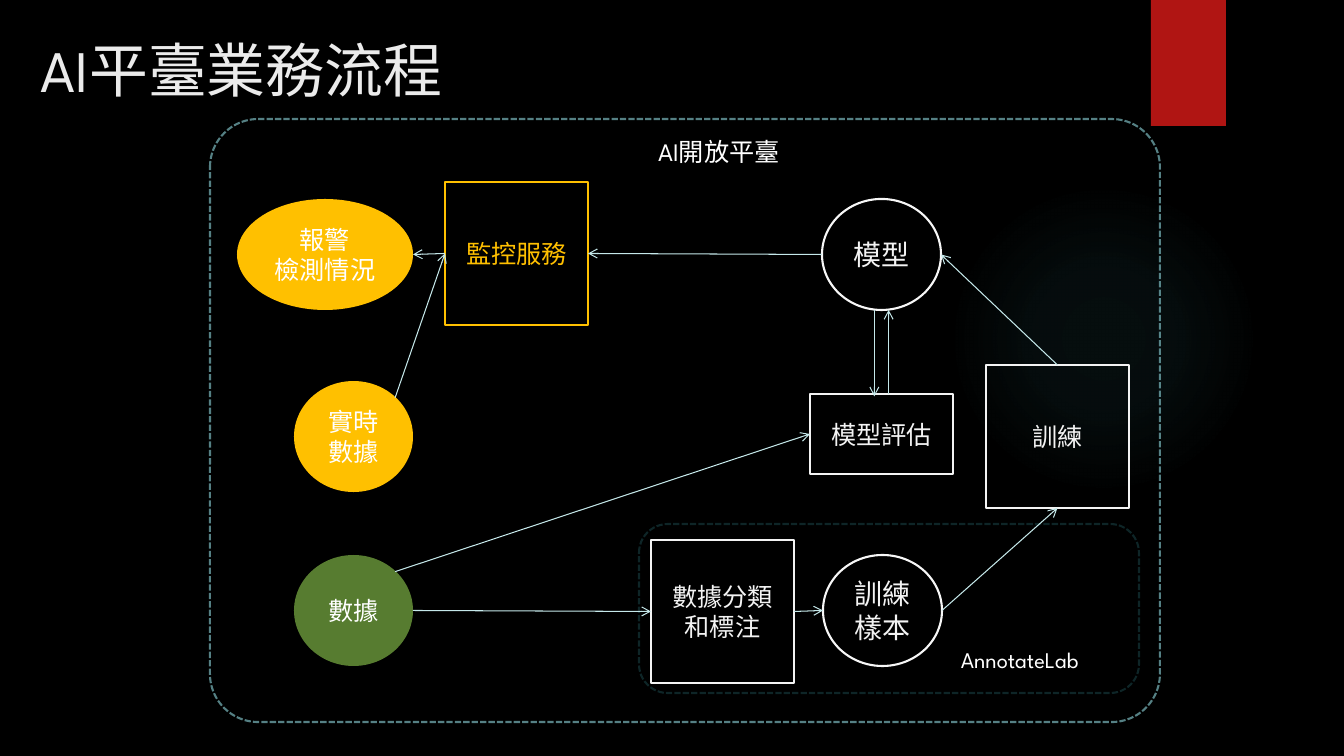
from lxml import etree
from pptx import Presentation
from pptx.dml.color import RGBColor
from pptx.enum.dml import MSO_LINE
from pptx.enum.shapes import MSO_CONNECTOR, MSO_SHAPE
from pptx.enum.text import MSO_ANCHOR, PP_ALIGN
from pptx.oxml import parse_xml
from pptx.oxml.ns import nsdecls, qn
from pptx.util import Emu, Pt

RECT, ROUNDED = MSO_SHAPE.RECTANGLE, MSO_SHAPE.ROUNDED_RECTANGLE
OVAL, NODE = MSO_SHAPE.OVAL, MSO_SHAPE.FLOWCHART_CONNECTOR
STRAIGHT, DASH = MSO_CONNECTOR.STRAIGHT, MSO_LINE.SQUARE_DOT
LEFT, CENTER = PP_ALIGN.LEFT, PP_ALIGN.CENTER
TOP, MIDDLE, BOTTOM = MSO_ANCHOR.TOP, MSO_ANCHOR.MIDDLE, MSO_ANCHOR.BOTTOM

FONT = "League Spartan"
COLORS = {
    "background": "000000", "glow": "50B9C1", "ribbon": "B01513",
    "amber": "FFC000", "green": "92D050", "outline": "F3F3F3",
    "circle": "F7F7F7", "platform": "8AD0D6", "labeling": "173D40",
    "arrow": "C5E8EA", "title": "EBEBEB", "white": "FFFFFF",
}
EMU_PER_PIXEL = 914400 / 100.8

# Name: kind, left, top, width, height, text, size, text colour, fill, line
NODES = {
    "alarm": (NODE, 27, 80, 176, 111, "報警\n檢測情況", 18, "white", "amber", None),
    "live data": (NODE, 84, 262, 119, 111, "實時數據", 18, "white", "amber", None),
    "data": (NODE, 84, 436, 119, 111, "數據", 18, "white", "green", None),
    "model": (NODE, 612, 80, 119, 111, "模型", 20, "outline", None, "circle"),
    "evaluation": (RECT, 600, 275, 143, 80, "模型評估", 18, "outline", None, "outline"),
    "training": (RECT, 776, 246, 143, 143, "訓練", 18, "outline", None, "outline"),
    "samples": (NODE, 613, 436, 119, 111, "訓練樣本", 20, "outline", None, "circle"),
    "labeling": (RECT, 441, 421, 143, 143, "數據分類和標注", 18, "outline", None, "outline"),
    "monitoring": (RECT, 235, 63, 143, 143, "監控服務", 18, "amber", None, "amber"),
}

# Anchor points as fractions of a node's width and height
WEST, EAST, NORTH, SOUTH = (0, 0.5), (1, 0.5), (0.5, 0), (0.5, 1)
NORTHEAST = (0.85, 0.15)
ARROWS = [
    ("data", EAST, "labeling", WEST),
    ("labeling", EAST, "samples", WEST),
    ("samples", EAST, "training", SOUTH),
    ("training", NORTH, "model", EAST),
    ("model", (0.44, 1), "evaluation", (0.45, 0.03)),
    ("evaluation", (0.55, 0), "model", (0.56, 1)),
    ("model", WEST, "monitoring", EAST),
    ("monitoring", WEST, "alarm", EAST),
    ("live data", NORTHEAST, "monitoring", WEST),
    ("data", NORTHEAST, "evaluation", WEST),
]


def px(pixels):
    return Emu(round(pixels * EMU_PER_PIXEL))


def rgb(name):
    return RGBColor.from_string(COLORS[name])


def set_opacity(fill_parent, percent):
    color = fill_parent.find(qn("a:solidFill"))[0]
    etree.SubElement(color, qn("a:alpha"), val=str(percent * 1000))


def write(shape, text, size=18, color="white", align=CENTER, anchor=MIDDLE):
    frame = shape.text_frame
    frame.word_wrap = True
    frame.vertical_anchor = anchor
    frame.text = text
    for paragraph in frame.paragraphs:
        paragraph.alignment = align
        font = paragraph.runs[0].font
        font.name, font.size, font.color.rgb = FONT, Pt(size), rgb(color)


def add_label(slide, box, text, **text_format):
    write(slide.shapes.add_textbox(*map(px, box)), text, **text_format)


def add_box(slide, kind, box, fill=None, line=None):
    shape = slide.shapes.add_shape(kind, *map(px, box))
    shape.shadow.inherit = False
    if fill:
        shape.fill.solid()
        shape.fill.fore_color.rgb = rgb(fill)
    else:
        shape.fill.background()
    if line:
        shape.line.color.rgb = rgb(line)
        shape.line.width = Pt(1.5)
    else:
        shape.line.fill.background()
    return shape


def add_dashed_frame(slide, box, line, radius):
    frame = add_box(slide, ROUNDED, box, line=line)
    frame.adjustments[0] = radius
    frame.line.dash_style = DASH
    set_opacity(frame.line._get_or_add_ln(), 61)


def add_arrow(slide, start, end):
    arrow = slide.shapes.add_connector(STRAIGHT, *map(px, start + end))
    arrow.line.color.rgb = rgb("arrow")
    arrow.line.width = Pt(0.75)
    etree.SubElement(arrow.line._get_or_add_ln(), qn("a:tailEnd"), type="arrow")
    etree.SubElement(arrow._element.spPr, qn("a:effectLst"))


def anchor_point(name, fraction, left, top):
    x, y, width, height = NODES[name][1:5]
    return left + x + fraction[0] * width, top + y + fraction[1] * height


def draw_backdrop(slide, left, top):
    slide.background.fill.solid()
    slide.background.fill.fore_color.rgb = rgb("background")
    # Soft radial glow
    glow = add_box(slide, OVAL, (left + 949, top + 184, 310, 310))
    stops = "".join(
        f'<a:gs pos="{position}000"><a:srgbClr val="{COLORS["glow"]}">'
        f'<a:alpha val="{opacity}000"/></a:srgbClr></a:gs>'
        for position, opacity in ((0, 7), (36, 6), (69, 0))
    )
    gradient = parse_xml(
        f'<a:gradFill {nsdecls("a")}><a:gsLst>{stops}</a:gsLst><a:path path="circle">'
        '<a:fillToRect l="50000" t="50000" r="50000" b="50000"/></a:path></a:gradFill>'
    )
    properties = glow._element.spPr
    properties.replace(properties.find(qn("a:noFill")), gradient)
    # Corner ribbon
    add_box(slide, RECT, (left + 1151, top, 75, 126), fill="ribbon")


def draw_platform(slide, left, top, width, height):
    # Platform and labeling frames
    add_dashed_frame(slide, (left, top, width, height), "platform", 0.08)
    add_dashed_frame(slide, (left + 429, top + 405, 500, 169), "labeling", 0.17)
    # Process nodes
    for name, (kind, x, y, w, h, text, size, color, fill, line) in NODES.items():
        node = add_box(slide, kind, (left + x, top + y, w, h), fill, line)
        write(node, text, size=size, color=color)
        if name == "data":
            set_opacity(node._element.spPr, 60)
    # Flow arrows
    for source, leaving, target, entering in ARROWS:
        add_arrow(slide, anchor_point(source, leaving, left, top),
                  anchor_point(target, entering, left, top))
    # Frame captions
    add_label(slide, (left + 741, top + 522, 166, 37), "AnnotateLab",
              size=16, align=LEFT, anchor=TOP)
    add_label(slide, (left + 378, top + 12, 262, 40), "AI開放平臺", anchor=TOP)


presentation = Presentation()
presentation.slide_width, presentation.slide_height = px(1344), px(756)
slide = presentation.slides.add_slide(presentation.slide_layouts[6])
draw_backdrop(slide, 0, 0)
add_label(slide, (31, 2, 488, 107), "AI平臺業務流程",
          size=42, color="title", align=LEFT, anchor=BOTTOM)
draw_platform(slide, 210, 119, 950, 603)
presentation.save("out.pptx")
